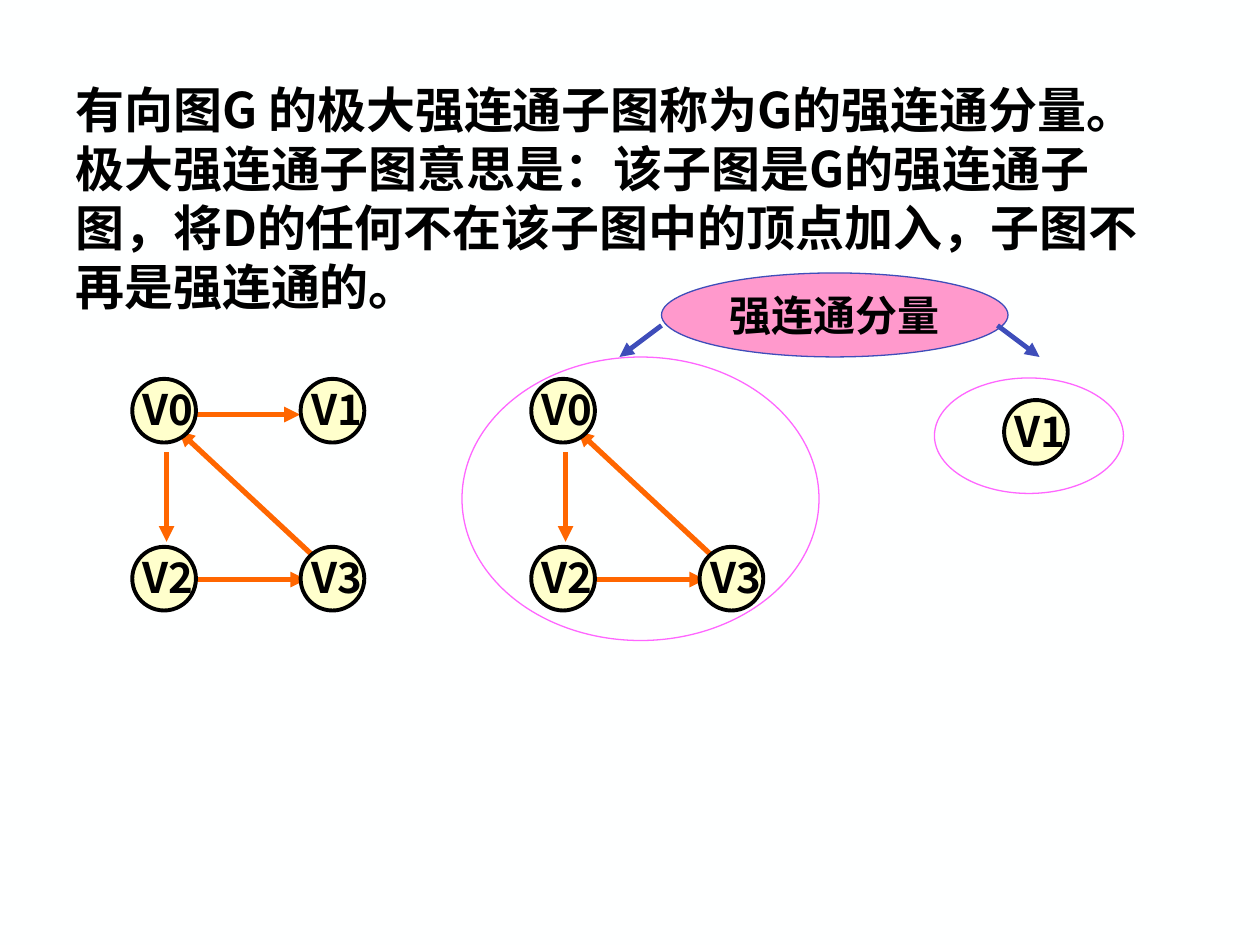
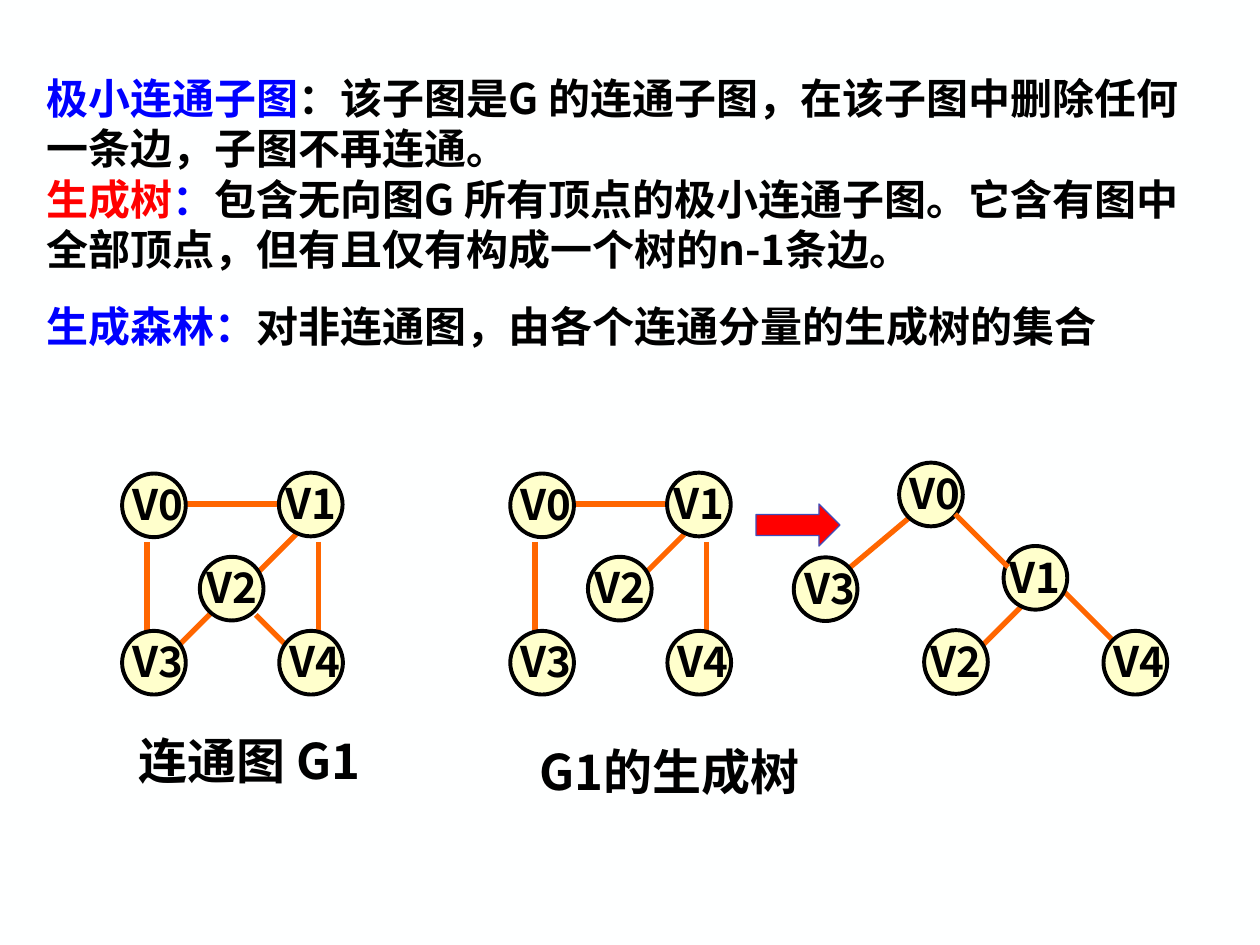
from lxml import etree
from pptx import Presentation
from pptx.dml.color import RGBColor
from pptx.enum.shapes import MSO_CONNECTOR, MSO_SHAPE
from pptx.enum.text import MSO_ANCHOR, MSO_AUTO_SIZE, PP_ALIGN
from pptx.oxml.ns import qn
from pptx.util import Pt

BACKGROUND = RGBColor(0xFE, 0xFF, 0xFF)
BLACK = RGBColor(0, 0, 0)
BLUE = RGBColor(0, 0, 0xFF)
RED = RGBColor(0xFF, 0, 0)
INDIGO = RGBColor(0x3E, 0x4D, 0xBA)
ORANGE = RGBColor(0xFF, 0x66, 0)
CREAM = RGBColor(0xFF, 0xFF, 0xCC)
PINK = RGBColor(0xFF, 0x99, 0xCC)
MAGENTA = RGBColor(0xFF, 0x66, 0xFF)

CJK_FONT = "Noto Sans CJK SC"
TERM_FONT = "DejaVu Sans"
CALLOUT_FONT = "Times New Roman"
NODE_SIZE = 36.4
LABEL_INDENT = 4.6
LABEL_LIFT = 1.8

# Directed graph: node centres and arrows in points
DIGRAPH_NODES = {"V0": (93.8, 234.7), "V1": (190, 234.7),
                 "V2": (93.8, 330.7), "V3": (190, 330.7)}
DIGRAPH_ARROWS = {"V0-V2": (95.2, 258.5, 95.2, 309.6),
                  "V2-V3": (112.3, 331.2, 175, 331.2),
                  "V0-V1": (112.3, 236.9, 171.4, 236.9),
                  "V3-V0": (185.8, 324, 102.2, 246.2)}
COMPONENT_SHIFT = 228

# Undirected graph G1, and the same spanning tree drawn with V0 as its root
G1_NODES = {"V0": (88, 288.8), "V4": (177.8, 378.7), "V3": (88, 378.7),
            "V1": (177.6, 288.3), "V2": (132.4, 336.4)}
G1_EDGES = {"V0-V3": (84, 309.6, 84, 361.4),
            "V0-V1": (105.1, 288, 164.9, 288),
            "V1-V4": (182, 309.6, 182, 361.4),
            "V2-V3": (122.4, 348.5, 100.8, 370.1),
            "V1-V2": (169.2, 305.3, 147.6, 326.9),
            "V2-V4": (146.2, 351.4, 164.9, 370.1)}
TREE_SHIFT = 221.8
ROOTED_NODES = {"V0": (532, 282.6), "V4": (648.8, 378.7), "V3": (471.8, 336.7),
                "V1": (591.7, 330.2), "V2": (546.3, 378.3)}
ROOTED_EDGES = {"V0-V3": (522, 293.8, 486, 324),
                "V1-V4": (606.2, 336.2, 635.8, 365.8),
                "V1-V2": (583.2, 347, 561.6, 368.6)}
ROOT_TO_V1 = {"V0-V1": (545.8, 293.8, 576, 324)}


def pick(parts, *names):
    return {name: parts[name] for name in names}


def add_run(paragraph, text, size=24, font=CJK_FONT, color=BLACK):
    run = paragraph.add_run()
    run.text = text
    run.font.name = font
    run.font.size = Pt(size)
    run.font.bold = True
    run.font.color.rgb = color
    east_asian = etree.SubElement(run._r.get_or_add_rPr(), qn("a:ea"))
    east_asian.set("typeface", CJK_FONT)


def add_text(slide, box, paragraphs, size=24, align=PP_ALIGN.LEFT):
    """Each paragraph is (space before, [(text, run format), ...])."""
    frame = slide.shapes.add_textbox(*map(Pt, box)).text_frame
    frame.word_wrap = True
    frame.auto_size = MSO_AUTO_SIZE.SHAPE_TO_FIT_TEXT
    for index, (space_before, runs) in enumerate(paragraphs):
        paragraph = frame.add_paragraph() if index else frame.paragraphs[0]
        paragraph.alignment = align
        paragraph.space_before = Pt(space_before)
        paragraph._p.get_or_add_pPr().set("hangingPunct", "0")
        for text, style in runs:
            add_run(paragraph, text, size=size, **style)


def add_figure(slide, preset, box, line, weight=0.75, fill=None, label="",
               font=CJK_FONT, indent=0, lift=0):
    figure = slide.shapes.add_shape(preset, *map(Pt, box))
    figure.shadow.inherit = False
    figure.line.color.rgb = line
    figure.line.width = Pt(weight)
    if fill is None:
        figure.fill.background()
    else:
        figure.fill.solid()
        figure.fill.fore_color.rgb = fill
    if label:
        frame = figure.text_frame
        frame.word_wrap = False
        frame.vertical_anchor = MSO_ANCHOR.MIDDLE
        frame.margin_left, frame.margin_right = Pt(indent), 0
        frame.margin_top, frame.margin_bottom = 0, Pt(lift)
        frame.paragraphs[0].alignment = PP_ALIGN.CENTER
        add_run(frame.paragraphs[0], label, font=font)


def add_line(slide, ends, color=ORANGE, weight=3, arrow=False):
    line = slide.shapes.add_connector(MSO_CONNECTOR.STRAIGHT, *map(Pt, ends))
    line.line.color.rgb = color
    line.line.width = Pt(weight)
    if arrow:
        tail = etree.SubElement(line.line._get_or_add_ln(), qn("a:tailEnd"))
        tail.set("type", "triangle")
    etree.SubElement(line._element.spPr, qn("a:effectLst"))


def add_graph(slide, nodes, edges, shift=0, arrow=False, centred=()):
    """Labels sit a little right of the middle, except the centred ones."""
    for x1, y1, x2, y2 in edges.values():
        add_line(slide, (x1 + shift, y1, x2 + shift, y2), arrow=arrow)
    for name, (x, y) in nodes.items():
        box = (x + shift - NODE_SIZE / 2, y - NODE_SIZE / 2,
               NODE_SIZE, NODE_SIZE)
        add_figure(slide, MSO_SHAPE.OVAL, box, BLACK, weight=2.25,
                   fill=CREAM, label=name, lift=LABEL_LIFT,
                   indent=0 if name in centred else LABEL_INDENT)


def build_strong_components(slide):
    definition = ("有向图G 的极大强连通子图称为G的强连通分量。"
                  "极大强连通子图意思是：该子图是G的强连通子图，"
                  "将D的任何不在该子图中的顶点加入，子图不再是强连通的。")
    add_text(slide, (36, 42, 642, 142), [(0, [(definition, {})])], size=28)

    add_figure(slide, MSO_SHAPE.OVAL, (378, 156, 198, 48), INDIGO, fill=PINK,
               label="强连通分量", font=CALLOUT_FONT)
    for pointer in ((378, 186, 354, 204), (570, 186, 594, 204)):
        add_line(slide, pointer, color=INDIGO, weight=2.75, arrow=True)

    add_graph(slide, DIGRAPH_NODES, DIGRAPH_ARROWS, arrow=True)
    add_graph(slide, pick(DIGRAPH_NODES, "V0", "V2", "V3"),
              pick(DIGRAPH_ARROWS, "V0-V2", "V2-V3", "V3-V0"),
              shift=COMPONENT_SHIFT, arrow=True)
    add_graph(slide, {"V1": (592, 246.8)}, {})
    for component in ((264, 204, 204, 162), (534, 216, 108, 66)):
        add_figure(slide, MSO_SHAPE.OVAL, component, MAGENTA)


def build_spanning_tree(slide):
    blue_term = {"font": TERM_FONT, "color": BLUE}
    red_term = {"font": TERM_FONT, "color": RED}
    add_text(slide, (19.5, 37.8, 676, 166), [
        (0, [("极小连通子图", blue_term),
             ("：该子图是G 的连通子图，在该子图中删除任何一条边，"
              "子图不再连通。", {})]),
        (0, [("生成树", red_term), ("：", blue_term),
             ("包含无向图G 所有顶点的极小连通子图。它含有图中全部顶点，"
              "但有且仅有构成一个树的n-1条边。", {})]),
        (15, [("生成森林：", blue_term),
              ("对非连通图，由各个连通分量的生成树的集合", {})]),
    ])
    for caption, left, top in (("连通图 G1", 54, 414),
                               ("G1的生成树", 294, 420)):
        add_text(slide, (left, top, 177, 41), [(0, [(caption, {})])],
                 size=28, align=PP_ALIGN.CENTER)

    inner_nodes = ("V1", "V2")
    tree_edges = pick(G1_EDGES, "V0-V3", "V0-V1", "V1-V4", "V1-V2")
    add_graph(slide, G1_NODES, G1_EDGES, centred=inner_nodes)
    add_graph(slide, G1_NODES, tree_edges, shift=TREE_SHIFT,
              centred=inner_nodes)
    add_graph(slide, ROOTED_NODES, ROOTED_EDGES, centred=inner_nodes)
    add_graph(slide, {}, ROOT_TO_V1)
    add_figure(slide, MSO_SHAPE.RIGHT_ARROW, (432, 288, 48, 24), INDIGO,
               fill=RED)


def main():
    deck = Presentation()
    deck.slide_width, deck.slide_height = Pt(720), Pt(540)
    background = deck.slide_master.background.fill
    background.solid()
    background.fore_color.rgb = BACKGROUND
    blank = deck.slide_layouts[6]
    for build in (build_strong_components, build_spanning_tree):
        build(deck.slides.add_slide(blank))
    deck.save("out.pptx")


if __name__ == "__main__":
    main()
